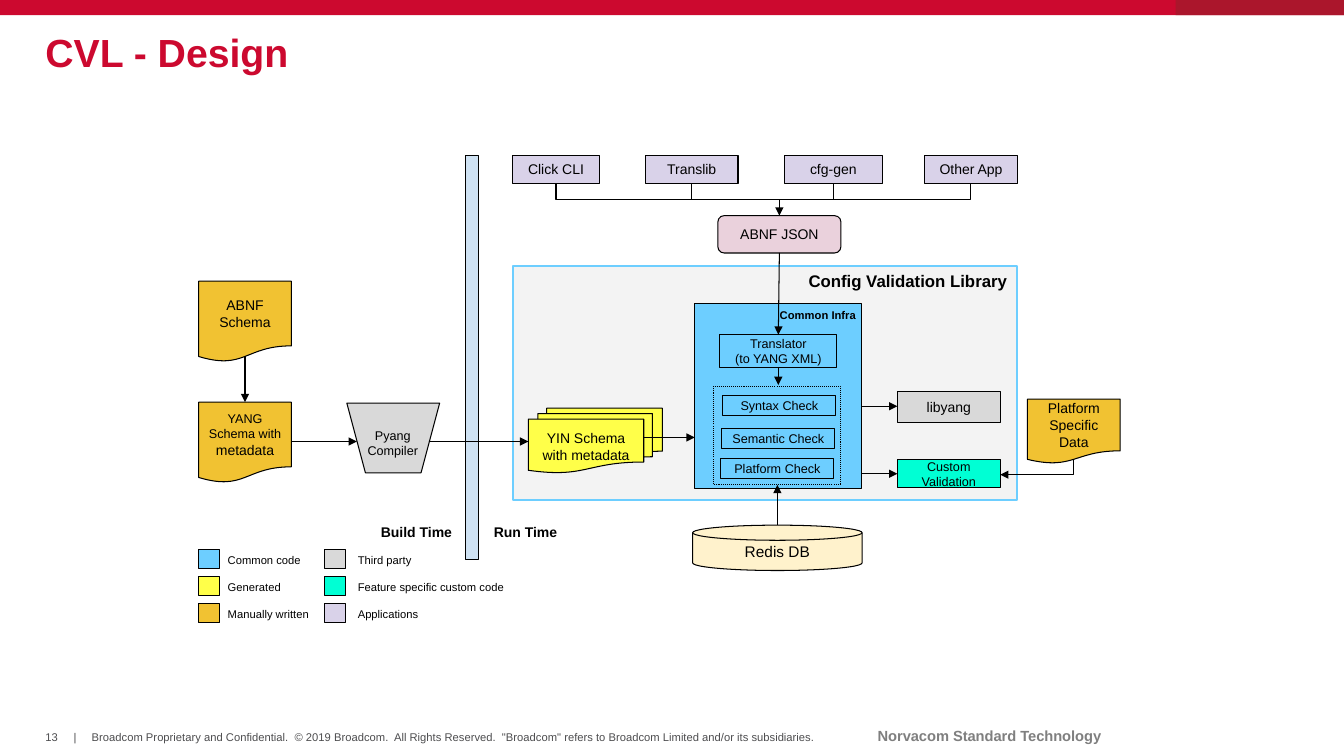
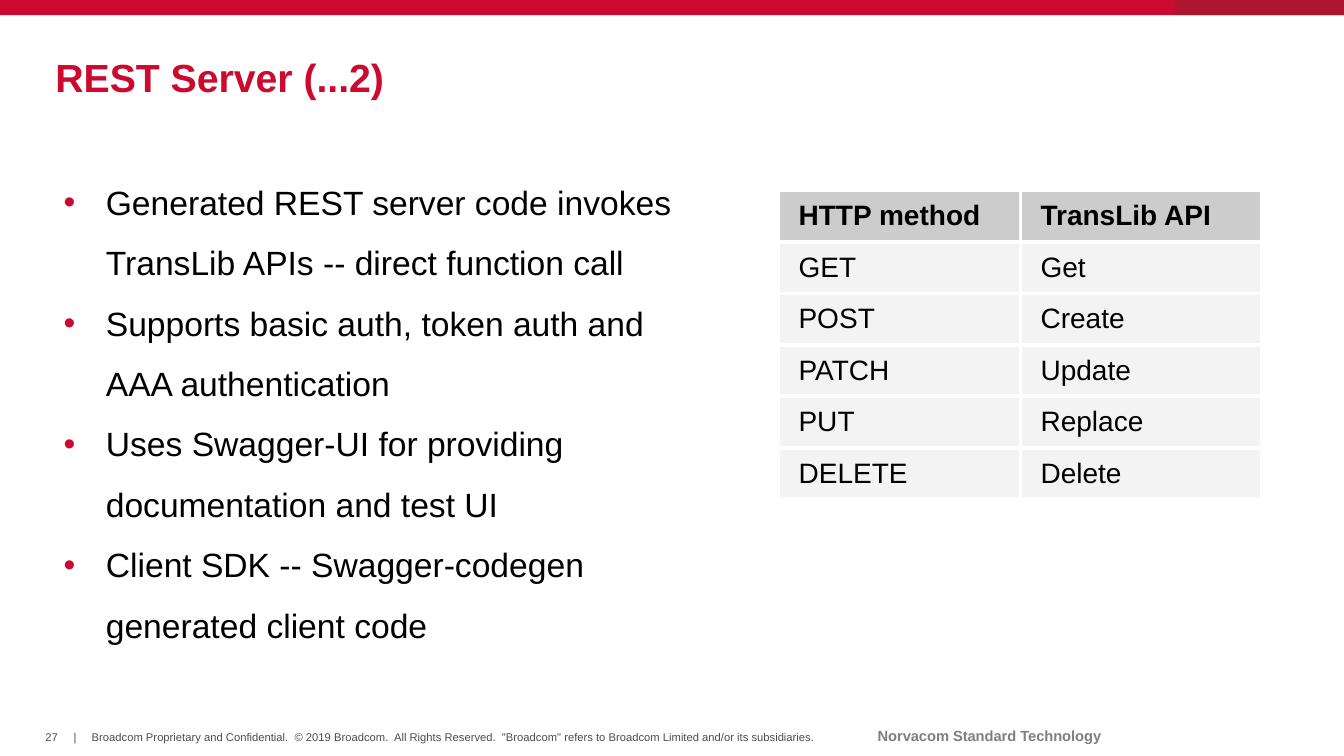
from lxml import etree
from pptx import Presentation
from pptx.dml.color import RGBColor
from pptx.enum import dml, shapes, text
from pptx.oxml.ns import qn
from pptx.util import Inches, Pt

SHAPE = shapes.MSO_SHAPE
LEFT, CENTER, RIGHT = text.PP_ALIGN.LEFT, text.PP_ALIGN.CENTER, text.PP_ALIGN.RIGHT
TOP, MIDDLE = text.MSO_ANCHOR.TOP, text.MSO_ANCHOR.MIDDLE


class Theme:
    font = "Arial"
    # colours
    red, dark_red = "CC092F", "AB162C"
    black, white, footer, tag = "000000", "FFFFFF", "4D4D4F", "7F7F7F"
    common, generated, manual = "6DCEFF", "FFFF49", "F1C232"
    third_party, custom, app = "D9D9D9", "00FFD4", "D9D2E9"
    panel, divider, json, database = "F3F3F3", "CFE2F3", "EAD1DC", "FFF2CC"
    table_head, table_row = "CCCCCC", "F3F3F3"
    # type sizes and line widths
    title, body, table, panel_title, db, tag_size = 28, 24, 20, 12, 11, 10.5
    label, small, tiny = 10, 9, 8
    line, frame, grid = 0.75, 1.5, 3


def rgb(value):
    return RGBColor.from_string(value)


def write(tf, content, size=Theme.label, color=Theme.black, bold=False, align=LEFT,
          anchor=TOP, wrap=True, insets=(0.1, 0.1, 0.1, 0.1), spacing=None, bullet=None):
    """Content is a string or a list of paragraphs, each a string or (text, size) runs."""
    tf.auto_size = text.MSO_AUTO_SIZE.NONE
    tf.word_wrap, tf.vertical_anchor = wrap, anchor
    tf.margin_left, tf.margin_top, tf.margin_right, tf.margin_bottom = map(Inches, insets)
    for i, para in enumerate([content] if isinstance(content, str) else content):
        p = tf.paragraphs[0] if i == 0 else tf.add_paragraph()
        p.alignment = align
        if spacing:
            p.line_spacing = spacing
            p.space_before = Pt(0)
        if bullet:
            add_bullet(p, bullet)
        for run_text, run_size in [(para, size)] if isinstance(para, str) else para:
            r = p.add_run()
            r.text = run_text
            f = r.font
            f.name, f.size, f.bold = Theme.font, Pt(run_size), bold
            f.color.rgb = rgb(color)


def add_bullet(p, color):
    pPr = p._p.get_or_add_pPr()
    pPr.set("marL", str(Inches(0.5)))
    pPr.set("indent", str(Inches(-0.42)))
    clr = etree.SubElement(pPr, qn("a:buClr"))
    etree.SubElement(clr, qn("a:srgbClr")).set("val", color)
    etree.SubElement(pPr, qn("a:buFont")).set("typeface", Theme.font)
    etree.SubElement(pPr, qn("a:buChar")).set("char", "•")


def box(s, x, y, w, h, fill, content=None, kind=SHAPE.RECTANGLE, line=Theme.black,
        width=Theme.line, align=CENTER, anchor=MIDDLE, **fmt):
    sp = s.shapes.add_shape(kind, Inches(x), Inches(y), Inches(w), Inches(h))
    sp.shadow.inherit = False
    sp.fill.solid()
    sp.fill.fore_color.rgb = rgb(fill)
    if line:
        sp.line.color.rgb = rgb(line)
        sp.line.width = Pt(width)
    else:
        sp.line.fill.background()
    if content:
        write(sp.text_frame, content, align=align, anchor=anchor, **fmt)
    return sp


def label(s, x, y, w, h, content, **fmt):
    tb = s.shapes.add_textbox(Inches(x), Inches(y), Inches(w), Inches(h))
    write(tb.text_frame, content, **fmt)


def connect(s, x1, y1, x2, y2, kind=shapes.MSO_CONNECTOR.STRAIGHT, head=False, tail=True):
    cn = s.shapes.add_connector(kind, Inches(x1), Inches(y1), Inches(x2), Inches(y2))
    cn.line.color.rgb = rgb(Theme.black)
    cn.line.width = Pt(Theme.line)
    spPr = cn._element.spPr
    for end, shown in (("a:headEnd", head), ("a:tailEnd", tail)):
        if shown:
            etree.SubElement(spPr.find(qn("a:ln")), qn(end)).set("type", "triangle")
    etree.SubElement(spPr, qn("a:effectLst"))
    return cn


def connect_down(s, x1, y1, x2, y2, **ends):
    """Elbow that leaves and arrives vertically: a horizontal one turned by 90 degrees."""
    cx, cy, dx, dy = (x1 + x2) / 2, (y1 + y2) / 2, x2 - x1, y2 - y1
    cn = connect(s, cx - dy / 2, cy + dx / 2, cx + dy / 2, cy - dx / 2,
                 kind=shapes.MSO_CONNECTOR.ELBOW, **ends)
    cn._element.spPr.find(qn("a:xfrm")).set("rot", str(90 * 60000))


def connect_corner(s, x1, y1, x2, y2, **ends):
    """Single bend: horizontal first, then vertical."""
    cn = connect(s, x1, y1, x2, y2, kind=shapes.MSO_CONNECTOR.ELBOW, **ends)
    cn._element.spPr.find(qn("a:prstGeom")).set("prst", "bentConnector2")


def place(sp, x, y, w, h):
    sp.left, sp.top, sp.width, sp.height = map(Inches, (x, y, w, h))


def new_slide(prs, layout, title, number, x, y):
    """Slide with the shared band, footer and title; x, y place the title."""
    s = prs.slides.add_slide(prs.slide_layouts.get_by_name(layout))
    box(s, 0, 0, 13.33, 0.15, Theme.red, line=None)
    box(s, 11.66, 0, 1.67, 0.15, Theme.dark_red, line=None)
    notice = ("Broadcom Proprietary and Confidential.  © 2019 Broadcom.  All Rights Reserved.  "
              "\"Broadcom\" refers to Broadcom Limited and/or its subsidiaries.")
    flat = dict(insets=(0, 0, 0, 0), wrap=False)
    for left, w, content, anchor in ((0.45, 0.14, str(number), MIDDLE),
                                     (0.73, 0.03, "|", MIDDLE), (0.91, 7.23, notice, TOP)):
        label(s, left, 7.25, w, 0.13, content, size=Theme.tiny, color=Theme.footer,
              anchor=anchor, **flat)
    label(s, 7.98, 7.21, 3.67, 0.18, "Norvacom Standard Technology", size=Theme.tag_size,
          color=Theme.tag, bold=True, align=CENTER, **flat)
    place(s.shapes.title, x, y, 12.43, 0.4)
    write(s.shapes.title.text_frame, title, size=Theme.title, color=Theme.red, bold=True,
          anchor=MIDDLE, spacing=0.85)
    return s


def build_time(s, x, y):
    """Schema documents, compiler and the divider between build and run time."""
    doc = SHAPE.FLOWCHART_DOCUMENT
    box(s, x, y, 0.92, 0.8, Theme.manual, "ABNF Schema", kind=doc)
    box(s, x, y + 1.2, 0.92, 0.8, Theme.manual, kind=doc,
        content=[[("YANG Schema with ", Theme.small), ("metadata", Theme.label)]])
    box(s, x + 2.65, y - 1.25, 0.13, 4.01, Theme.divider)
    box(s, x + 1.47, y + 1.21, 0.92, 0.69, Theme.third_party,
        kind=SHAPE.FLOWCHART_MANUAL_OPERATION)
    label(s, x + 1.53, y + 1.35, 0.79, 0.48, "Pyang Compiler", size=Theme.small, align=CENTER)
    connect(s, x + 0.46, y + 0.74, x + 0.46, y + 1.2)
    connect(s, x + 0.92, y + 1.59, x + 1.57, y + 1.59)
    for dx, name in ((1.71, "Build Time"), (2.83, "Run Time")):
        label(s, x + dx, y + 2.3, 1.07, 0.2, name, bold=True)


def applications(s, x, y):
    """Row of client applications that feed the JSON box."""
    target = x + 2.65
    for dx, w, name in ((0, 0.87, "Click CLI"), (1.32, 0.92, "Translib"),
                        (2.7, 0.97, "cfg-gen"), (4.09, 0.92, "Other App")):
        box(s, x + dx, y, w, 0.28, Theme.app, name)
        middle = x + dx + w / 2
        if name in ("Click CLI", "Other App"):
            connect_down(s, middle, y + 0.28, target, y + 0.6, tail=name == "Other App")
        else:
            connect(s, middle, y + 0.28, middle, y + 0.44, tail=False)
    box(s, x + 2.04, y + 0.6, 1.22, 0.37, Theme.json, "ABNF JSON", kind=SHAPE.ROUNDED_RECTANGLE)


def common_infra(s, x, y):
    """Translator and the three checks."""
    box(s, x, y, 1.65, 1.84, Theme.common, "Common Infra", size=Theme.tiny, bold=True,
        align=RIGHT, anchor=TOP, insets=(0.1, 0.05, 0.05, 0.1))
    box(s, x + 0.25, y + 0.31, 1.16, 0.33, Theme.common, ["Translator", "(to YANG XML)"],
        size=Theme.small)
    checks = box(s, x + 0.19, y + 0.82, 1.26, 0.98, Theme.common)
    checks.line.dash_style = dml.MSO_LINE.ROUND_DOT
    for dx, dy, name in ((0.28, 0.91, "Syntax"), (0.27, 1.24, "Semantic"), (0.26, 1.54, "Platform")):
        box(s, x + dx, y + dy, 1.12, 0.2, Theme.common, f"{name} Check", size=Theme.small,
            wrap=False)
    connect(s, x + 0.83, y + 0.63, x + 0.83, y + 0.81)


def library(s, x, y):
    """Config Validation Library with its inputs, helpers and database."""
    box(s, x, y, 5, 2.32, Theme.panel, "Config Validation Library", line=Theme.common,
        width=Theme.frame, size=Theme.panel_title, bold=True, align=RIGHT, anchor=TOP,
        insets=(0.1, 0.05, 0.1, 0.1))
    common_infra(s, x + 1.8, y + 0.37)
    box(s, x + 0.15, y + 1.41, 1.33, 0.64, Theme.generated, "YIN Schema with metadata",
        kind=SHAPE.FLOWCHART_MULTIDOCUMENT, anchor=TOP)
    box(s, x + 1.78, y + 2.57, 1.68, 0.45, Theme.database, "Redis DB", size=Theme.db,
        kind=SHAPE.FLOWCHART_MAGNETIC_DISK)
    box(s, x + 3.81, y + 1.24, 1.02, 0.31, Theme.third_party, "libyang")
    box(s, x + 3.81, y + 1.92, 1.02, 0.28, Theme.custom, "Custom Validation", size=Theme.small)
    box(s, x + 5.1, y + 1.32, 0.92, 0.64, Theme.manual, "Platform Specific Data",
        kind=SHAPE.FLOWCHART_DOCUMENT)
    for x1, y1, x2, y2 in ((2.64, -0.13, 2.63, 0.68), (-0.84, 1.74, 0.15, 1.74),
                           (1.29, 1.7, 1.8, 1.7), (3.45, 1.39, 3.81, 1.39),
                           (3.45, 2.06, 3.81, 2.06), (2.62, 2.57, 2.62, 2.17)):
        connect(s, x + x1, y + y1, x + x2, y + y2)
    connect_corner(s, x + 4.83, y + 2.07, x + 5.56, y + 1.91, head=True, tail=False)


def legend(s, x, y):
    columns = (
        (0, 0.19, (("Common code", Theme.common), ("Generated", Theme.generated),
                   ("Manually written", Theme.manual))),
        (1.25, 0.23, (("Third party", Theme.third_party),
                      ("Feature specific custom code", Theme.custom),
                      ("Applications", Theme.app))),
    )
    for dx, gap, entries in columns:
        for row, (name, color) in enumerate(entries):
            top = y + row * 0.27
            box(s, x + dx, top, 0.21, 0.19, color)
            label(s, x + dx + gap, top - 0.06, 1.99, 0.26, name, size=Theme.tiny)


def design_slide(prs):
    s = new_slide(prs, "Title Only", "CVL - Design", 13, 0.35, 0.35)
    build_time(s, 1.97, 2.79)
    applications(s, 5.08, 1.54)
    library(s, 5.09, 2.64)
    legend(s, 1.97, 5.45)


def method_table(s, x, y, rows):
    tbl = s.shapes.add_table(len(rows), 2, Inches(x), Inches(y), Inches(4.8),
                             Inches(0.51 * len(rows))).table
    tbl.first_row = tbl.horz_banding = False
    for i, row in enumerate(rows):
        for j, value in enumerate(row):
            cell = tbl.cell(i, j)
            write(cell.text_frame, value, size=Theme.table, bold=i == 0)
            cell.margin_left = Inches(0.2)
            cell.margin_top = cell.margin_right = cell.margin_bottom = Inches(0.1)
            format_cell(cell, Theme.table_row if i else Theme.table_head)


def format_cell(cell, fill):
    tcPr = cell._tc.get_or_add_tcPr()
    for side in ("a:lnL", "a:lnR", "a:lnT", "a:lnB"):
        ln = etree.SubElement(tcPr, qn(side), w=str(Pt(Theme.grid)))
        solid = etree.SubElement(ln, qn("a:solidFill"))
        etree.SubElement(solid, qn("a:srgbClr")).set("val", Theme.white)
    cell.fill.solid()
    cell.fill.fore_color.rgb = rgb(fill)


def rest_slide(prs):
    s = new_slide(prs, "Title and Content", "REST Server (...2)", 27, 0.45, 0.6)
    body = s.placeholders[1]
    place(body, 0.45, 1.5, 6.72, 4.97)
    write(body.text_frame, [
        "Generated REST server code invokes TransLib APIs -- direct function call",
        "Supports basic auth, token auth and AAA authentication",
        "Uses Swagger-UI for providing documentation and test UI",
        "Client SDK -- Swagger-codegen generated client code",
    ], size=Theme.body, spacing=1.5, bullet=Theme.red)
    method_table(s, 7.72, 1.89, (
        ("HTTP method", "TransLib API"), ("GET", "Get"), ("POST", "Create"),
        ("PATCH", "Update"), ("PUT", "Replace"), ("DELETE", "Delete")))


def main():
    prs = Presentation()
    prs.slide_width, prs.slide_height = Inches(13.33), Inches(7.5)
    design_slide(prs)
    rest_slide(prs)
    prs.save("out.pptx")


if __name__ == "__main__":
    main()
